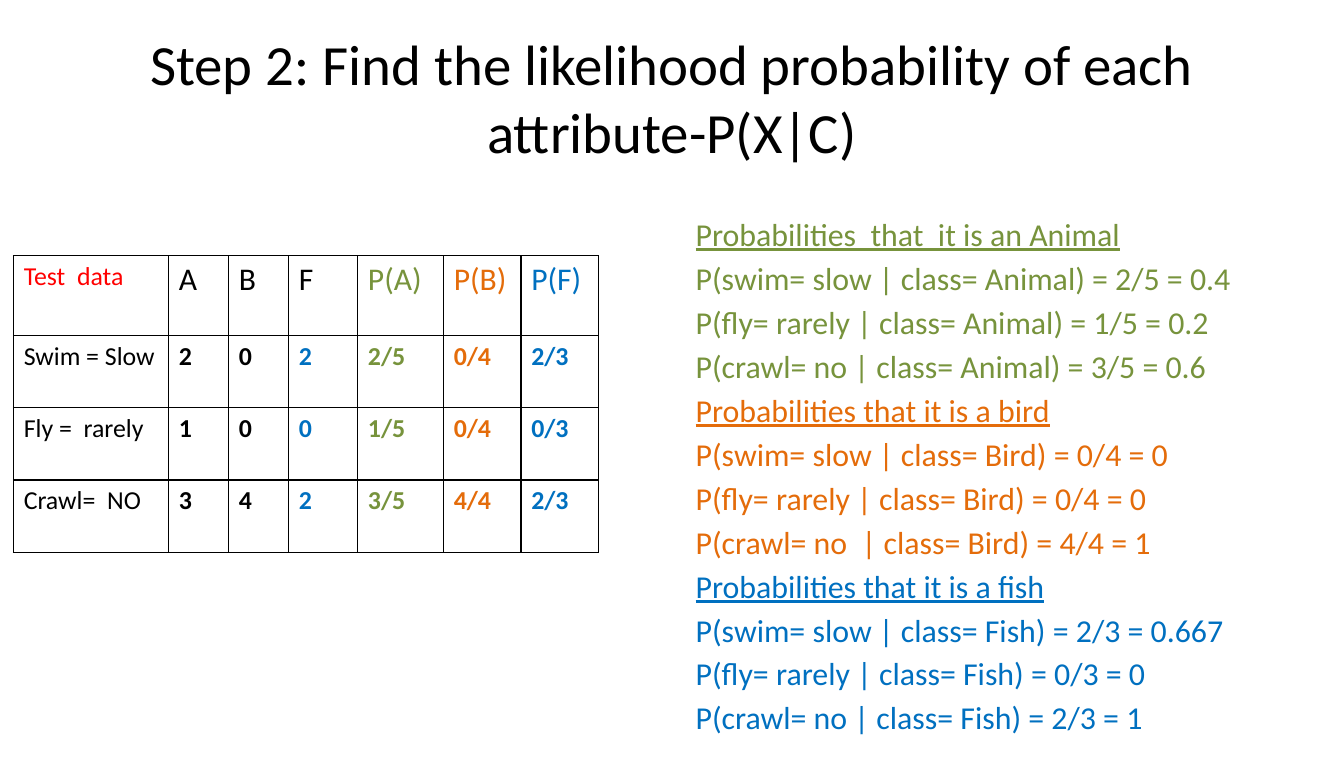
from dataclasses import dataclass
from typing import Any

import pptx
import pptx.dml.color
import pptx.enum.text
import pptx.oxml
import pptx.oxml.ns
import pptx.util

RGBColor = pptx.dml.color.RGBColor
BLACK = RGBColor(0x00, 0x00, 0x00)
RED = RGBColor(0xFF, 0x00, 0x00)
GREEN = RGBColor(0x77, 0x93, 0x3C)
ORANGE = RGBColor(0xE4, 0x6C, 0x0A)
BLUE = RGBColor(0x00, 0x70, 0xC0)

WIDTH, HEIGHT = 13, 7.5
FONT = "Calibri"
Inches, Pt = pptx.util.Inches, pptx.util.Pt


@dataclass
class Box:
    """A place on the slide, in shares of its width and height."""
    x: float
    y: float
    w: float
    h: float

    def emu(self) -> list[int]:
        return [Inches(self.x * WIDTH), Inches(self.y * HEIGHT),
                Inches(self.w * WIDTH), Inches(self.h * HEIGHT)]


@dataclass
class ClassGroup:
    """The likelihoods of one class."""
    heading: str
    color: RGBColor
    lines: tuple[str, ...]


@dataclass
class Column:
    """One table column: width in inches, colours, header and values."""
    width: float
    head_color: RGBColor
    color: RGBColor
    texts: tuple[str, ...]


TITLE = "Step 2: Find the likelihood probability of each attribute-P(X|C)"
TITLE_BOX = Box(0.05, 0.04, 0.9, 0.17)
LIST_BOX = Box(0.51, 0.27, 0.44, 0.66)
TABLE_BOX = Box(0.01, 0.33, 0.44, 0.38)

GROUPS = [
    ClassGroup("Probabilities  that  it is an Animal", GREEN, (
        "P(swim= slow | class= Animal) = 2/5 = 0.4",
        "P(fly= rarely | class= Animal) = 1/5 = 0.2",
        "P(crawl= no | class= Animal) = 3/5 = 0.6")),
    ClassGroup("Probabilities that it is a bird", ORANGE, (
        "P(swim= slow | class= Bird) = 0/4 = 0",
        "P(fly= rarely | class= Bird) = 0/4 = 0",
        "P(crawl= no  | class= Bird) = 4/4 = 1")),
    ClassGroup("Probabilities that it is a fish", BLUE, (
        "P(swim= slow | class= Fish) = 2/3 = 0.667",
        "P(fly= rarely | class= Fish) = 0/3 = 0",
        "P(crawl= no | class= Fish) = 2/3 = 1")),
]

COLUMNS = [
    Column(1.5, RED, BLACK, ("Test  data", "Swim = Slow", "Fly =  rarely", "Crawl=  NO")),
    Column(0.58, BLACK, BLACK, ("A", "2", "1", "3")),
    Column(0.58, BLACK, BLACK, ("B", "0", "0", "4")),
    Column(0.67, BLACK, BLUE, ("F", "2", "0", "2")),
    Column(0.83, GREEN, GREEN, ("P(A)", "2/5", "1/5", "3/5")),
    Column(0.75, ORANGE, ORANGE, ("P(B)", "0/4", "0/4", "4/4")),
    Column(0.75, BLUE, BLUE, ("P(F)", "2/3", "0/3", "2/3")),
]
ROW_HEIGHTS = [0.77, 0.7, 0.7, 0.7]


def add_run(p: Any, text: str, size: float, color: RGBColor, **extra: Any) -> None:
    r = p.add_run()
    r.text = text
    for name, value in {"name": FONT, "size": Pt(size), **extra}.items():
        setattr(r.font, name, value)
    r.font.color.rgb = color


def add_text_frame(s: Any, box: Box) -> Any:
    tf = s.shapes.add_textbox(*box.emu()).text_frame
    tf.word_wrap = True
    return tf


def set_borders(cell: Any) -> None:
    tc_pr = cell._tc.get_or_add_tcPr()
    for index, side in enumerate(("lnL", "lnR", "lnT", "lnB")):
        tc_pr.insert(index, pptx.oxml.parse_xml(
            f'<a:{side} {pptx.oxml.ns.nsdecls("a")} w="{Pt(1)}"><a:solidFill>'
            f'<a:srgbClr val="{BLACK}"/></a:solidFill></a:{side}>'))


def draw_title(s: Any) -> None:
    tf = add_text_frame(s, TITLE_BOX)
    tf.vertical_anchor = pptx.enum.text.MSO_ANCHOR.MIDDLE
    p = tf.paragraphs[0]
    p.alignment = pptx.enum.text.PP_ALIGN.CENTER
    add_run(p, TITLE, 39.6, BLACK)


def draw_likelihoods(s: Any) -> None:
    tf = add_text_frame(s, LIST_BOX)
    p = tf.paragraphs[0]
    for group in GROUPS:
        for i, text in enumerate((group.heading, *group.lines)):
            if p.runs:
                p = tf.add_paragraph()
            p.space_before = Pt(4)
            add_run(p, text, 22.2, group.color, underline=i == 0)


def draw_table(s: Any) -> None:
    table = s.shapes.add_table(len(ROW_HEIGHTS), len(COLUMNS), *TABLE_BOX.emu()).table
    table.first_row = table.horz_banding = False
    for row, height in zip(table.rows, ROW_HEIGHTS):
        row.height = Inches(height)
    for c, column in enumerate(COLUMNS):
        table.columns[c].width = Inches(column.width)
        for r, text in enumerate(column.texts):
            cell = table.cell(r, c)
            cell.fill.background()
            set_borders(cell)
            add_run(cell.text_frame.paragraphs[0], text,
                    22 if r == 0 and c > 0 else 18,
                    column.head_color if r == 0 else column.color,
                    bold=r > 0 and c > 0)


prs = pptx.Presentation()
prs.slide_width, prs.slide_height = Inches(WIDTH), Inches(HEIGHT)
s = prs.slides.add_slide(prs.slide_layouts[6])

# Title across the top
draw_title(s)
# Likelihoods of each class on the right
draw_likelihoods(s)
# Counts and probabilities on the left
draw_table(s)

prs.save("out.pptx")
